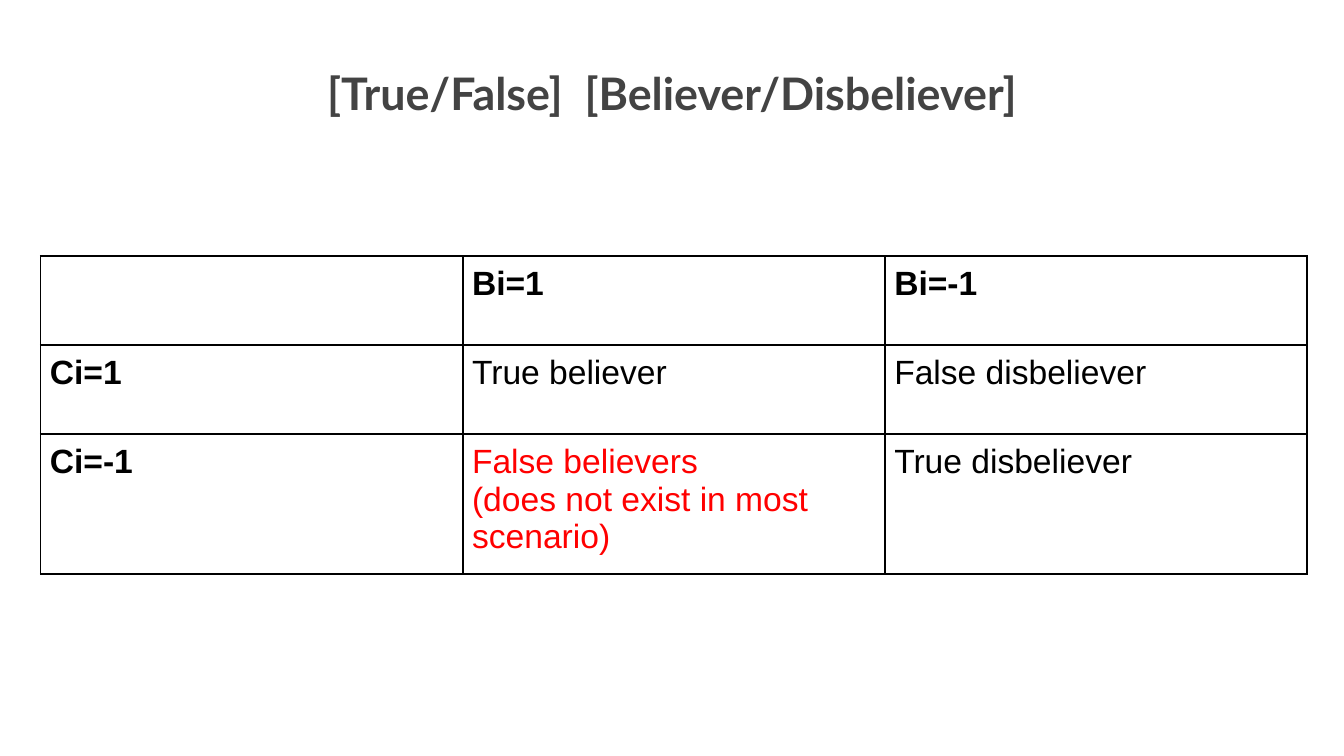
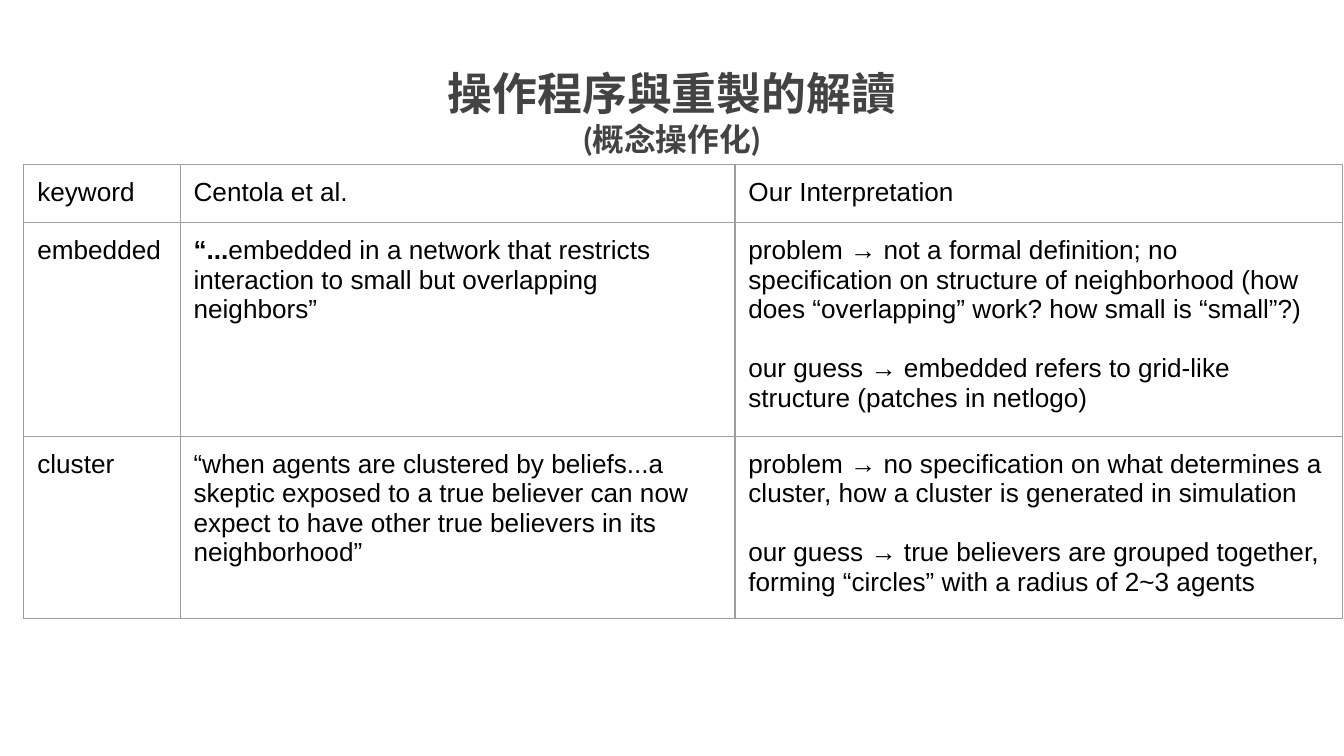
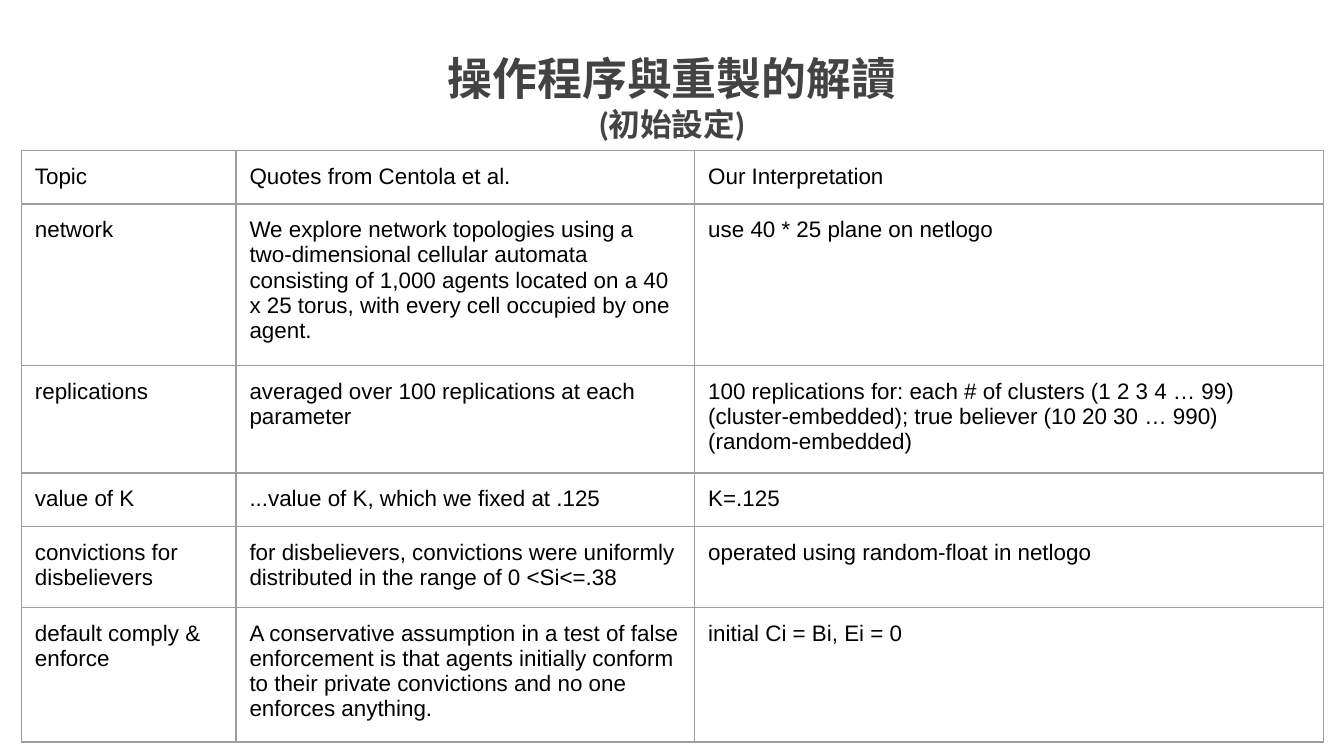
from lxml import etree
from pptx import Presentation
from pptx import util as u
from pptx.dml import color
from pptx.enum import text
from pptx.oxml import ns

BLACK = color.RGBColor(0x00, 0x00, 0x00)
RED = color.RGBColor(0xFF, 0x00, 0x00)
GREY_LINE = color.RGBColor(0x9E, 0x9E, 0x9E)
TITLE_GREY = color.RGBColor(0x43, 0x43, 0x43)

SLIDE_W, SLIDE_H = 720, 405
TITLE_W, TITLE_H = 410, 74
PAD = 7.2
TITLE = "操作程序與重製的解讀"
TITLE_FONT = {"name": "Lato", "bold": True}
CELL_FONT = {"name": "Arial", "bold": False}

BELIEFS = [
    ["", "Bi=1", "Bi=-1"],
    ["Ci=1", "True believer", "False disbeliever"],
    ["Ci=-1", "False believers\v(does not exist in most scenario)", "True disbeliever"],
]
CONCEPTS = [
    ["keyword", "Centola et al.", "Our Interpretation"],
    [
        "embedded",
        "“...embedded in a network that restricts interaction to small but overlapping neighbors”",
        "problem → not a formal definition; no specification on structure of neighborhood "
        "(how does “overlapping” work? how small is “small”?)\n"
        "our guess → embedded refers to grid-like structure (patches in netlogo)",
    ],
    [
        "cluster",
        "“when agents are clustered by beliefs...a skeptic exposed to a true believer can now "
        "expect to have other true believers in its neighborhood”",
        "problem → no specification on what determines a cluster, how a cluster is generated "
        "in simulation\n"
        "our guess → true believers are grouped together, forming “circles” with a radius of "
        "2~3 agents",
    ],
]
SETTINGS = [
    ["Topic", "Quotes from Centola et al.", "Our Interpretation"],
    [
        "network",
        "We explore network topologies using a two-dimensional cellular automata consisting of "
        "1,000 agents located on a 40 x 25 torus, with every cell occupied by one agent.",
        "use 40 * 25 plane on netlogo",
    ],
    [
        "replications",
        "averaged over 100 replications at each parameter",
        "100 replications for: each # of clusters (1 2 3 4 … 99) (cluster-embedded); "
        "true believer (10 20 30 … 990) (random-embedded)",
    ],
    ["value of K", "...value of K, which we fixed at .125", "K=.125"],
    [
        "convictions for disbelievers",
        "for disbelievers, convictions were uniformly distributed in the range of 0 <Si<=.38",
        "operated using random-float in netlogo",
    ],
    [
        "default comply & enforce",
        "A conservative assumption in a test of false enforcement is that agents initially "
        "conform to their private convictions and no one enforces anything.",
        "initial Ci = Bi, Ei = 0",
    ],
]


def set_all(obj, values):
    for key, value in values.items():
        setattr(obj, key, value)


def format_run(r, size, rgb, values):
    set_all(r.font, {"size": u.Pt(size), **values})
    r.font.color.rgb = rgb


def margins(pad):
    return {f"margin_{side}": u.Pt(pad) for side in ("left", "top", "right", "bottom")}


def add_title(s, top, *lines):
    left = (SLIDE_W - TITLE_W) / 2
    sp = s.shapes.add_textbox(u.Pt(left), u.Pt(top), u.Pt(TITLE_W), u.Pt(TITLE_H))
    tf = sp.text_frame
    set_all(tf, {"word_wrap": True, "vertical_anchor": text.MSO_ANCHOR.TOP, **margins(PAD)})
    tf.text = "\n".join(lines)
    for p, size in zip(tf.paragraphs, (24, 17)):
        p.alignment = text.PP_ALIGN.CENTER
        for r in p.runs:
            format_run(r, size, TITLE_GREY, TITLE_FONT)
            ea = etree.SubElement(r.font._element, ns.qn("a:ea"))
            ea.set("typeface", TITLE_FONT["name"])


def set_borders(cell, rgb, width):
    tc_pr = cell._tc.get_or_add_tcPr()
    for i, side in enumerate("LRTB"):
        ln = etree.Element(ns.qn(f"a:ln{side}"), w=str(u.Pt(width)))
        fill = etree.SubElement(ln, ns.qn("a:solidFill"))
        etree.SubElement(fill, ns.qn("a:srgbClr"), val=str(rgb))
        tc_pr.insert(i, ln)


def add_table(s, left, top, cols, heights, rows, size, pad=PAD, line=(GREY_LINE, 0.75)):
    frame = s.shapes.add_table(len(rows), len(cols), u.Pt(left), u.Pt(top),
                               u.Pt(sum(cols)), u.Pt(sum(heights)))
    table = frame.table
    set_all(table, {"first_row": False, "horz_banding": False})
    for col, width in zip(table.columns, cols):
        col.width = u.Pt(width)
    for row, height, values in zip(table.rows, heights, rows):
        row.height = u.Pt(height)
        for cell, value in zip(row.cells, values):
            set_all(cell, margins(pad))
            cell.fill.background()
            set_borders(cell, *line)
            cell.text = value
            for i, p in enumerate(cell.text_frame.paragraphs):
                if i:
                    p.space_before = u.Pt(16)
                for r in p.runs:
                    format_run(r, size, BLACK, CELL_FONT)
    return table


def embolden_headings(table):
    headings = [*table.rows[0].cells, *(row.cells[0] for row in table.rows)]
    for cell in headings:
        for r in cell.text_frame.paragraphs[0].runs:
            r.font.bold = True


def embolden_start(cell, start, size):
    p = cell.text_frame.paragraphs[0]
    first = p.runs[0]
    rest = p.add_run()
    rest.text = first.text.removeprefix(start)
    format_run(rest, size, BLACK, CELL_FONT)
    first.text = start
    first.font.bold = True


def main():
    prs = Presentation()
    set_all(prs, {"slide_width": u.Pt(SLIDE_W), "slide_height": u.Pt(SLIDE_H)})
    beliefs, concepts, settings = (
        prs.slides.add_slide(prs.slide_layouts[6]) for _ in range(3))

    add_title(beliefs, 28, "[True/False]  [Believer/Disbeliever]")
    table = add_table(beliefs, 21.75, 137.25, [226.2] * 3, [47.6, 47.6, 75], BELIEFS, 18,
                      pad=5, line=(BLACK, 1))
    embolden_headings(table)
    for r in table.cell(2, 1).text_frame.paragraphs[0].runs:
        r.font.color.rgb = RED

    add_title(concepts, 28, TITLE, "(概念操作化)")
    table = add_table(concepts, 12.75, 88, [83.75, 297.25, 325.5], [30, 109, 93], CONCEPTS, 14)
    embolden_start(table.cell(1, 1), "“...", 14)

    add_title(settings, 20, TITLE, "(初始設定)")
    add_table(settings, 11.5, 80.5, [115, 245.75, 336.75], [28, 81.5, 54.5, 28, 41.25, 68],
              SETTINGS, 12)

    prs.save("out.pptx")


if __name__ == "__main__":
    main()
